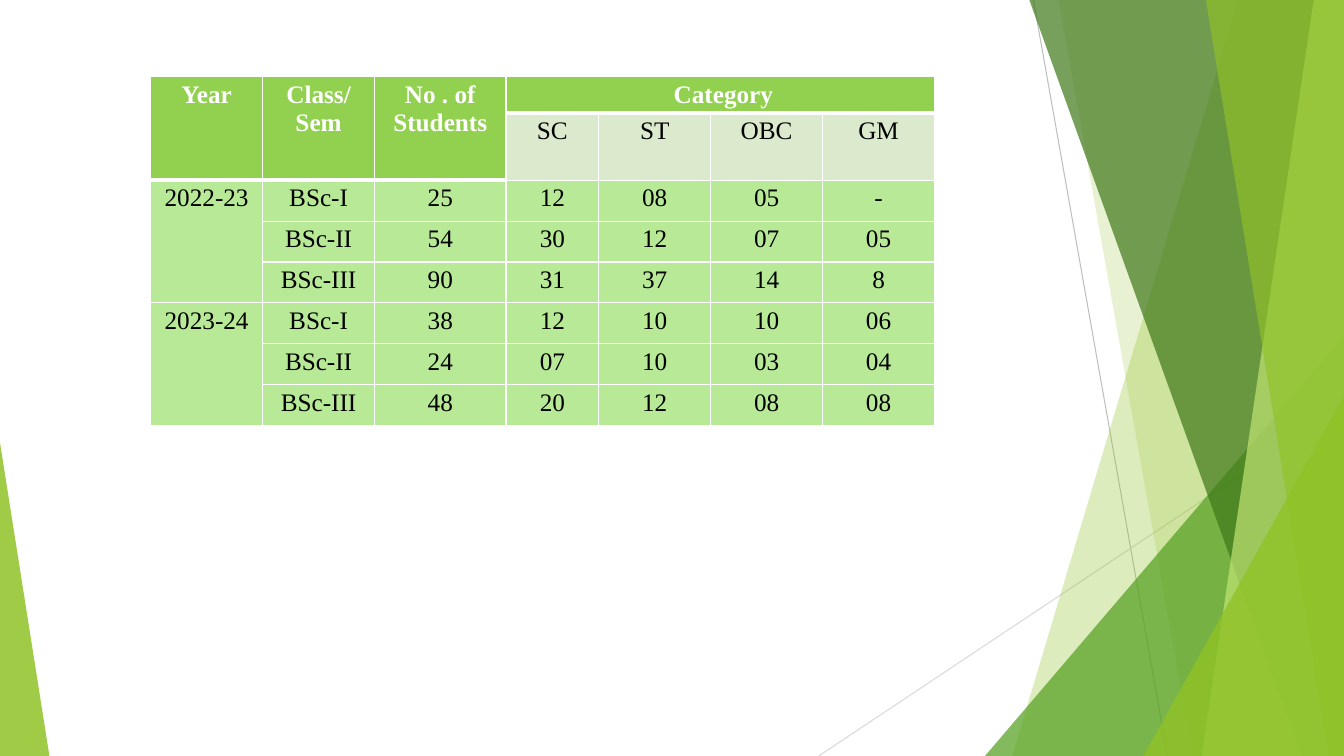
import pptx
import pptx.util
import pptx.dml.color
import pptx.enum.shapes
import pptx.enum.text
import pptx.oxml
import pptx.oxml.ns
from dataclasses import dataclass

ROWS = [
    ["Year", "Class/ Sem", "No . of Students", " Category", None, None, None],
    [None, None, None, "SC", "ST", "OBC", "GM"],
    ["2022-23", "BSc-I", "25", "12", "08", "05", "-"],
    [None, "BSc-II", "54", "30", "12", "07", "05"],
    [None, "BSc-III", "90", "31", "37", "14", "8"],
    ["2023-24", "BSc-I", "38", "12", "10", "10", "06"],
    [None, "BSc-II", "24", "07", "10", "03", "04"],
    [None, "BSc-III", "48", "20", "12", "08", "08"],
]
SPANS = [(0, 0, 1, 0), (0, 1, 1, 1), (0, 2, 1, 2), (0, 3, 0, 6),
         (2, 0, 4, 0), (5, 0, 7, 0)]
COLS = [8.33, 8.33, 9.78, 6.9, 8.33, 8.33, 8.33]
HIGHS = [4.83, 8.86] + [5.41] * 6
PLACE = (11.21, 10.16)


@dataclass
class Theme:
    font: str = "Times New Roman"
    size: int = 18
    white: str = "FFFFFF"
    ink: str = "000000"
    head: str = "92D050"
    sub: str = "DBE9CD"
    body: str = "B7E996"
    lime: str = "90C226"
    leaf: str = "54A021"
    moss: str = "3F7819"
    pale: str = "C0E474"
    thin: int = 1
    thick: int = 3
    hair: float = 0.75


LOOK = Theme()
LINES = [(76.89, 0, 86.87, 100, "BFBFBF"), (100, 53.73, 60.92, 100, "D9D9D9")]
SHARDS = [
    ("band", 92.12, 75.32, LOOK.lime, 30),
    ("band", 78.77, 88.75, LOOK.lime, 20),
    ("peak", 73.29, 100, 44.4, 1, LOOK.leaf, 72),
    ("band", 76.59, 96.85, LOOK.moss, 70),
    ("band", 97.75, 89.42, LOOK.pale, 70),
    ("band", 89.72, 98.87, LOOK.lime, 65),
    ("peak", 85.07, 100, 52.4, 1, LOOK.lime, 80),
    ("peak", 0, 3.68, 58.53, 0, LOOK.lime, 85),
]

deck = pptx.Presentation()
deck.slide_width = pptx.util.Inches(13.33)
deck.slide_height = pptx.util.Inches(7.5)
slide = deck.slides.add_slide(deck.slide_layouts[6])


def across(share):
    return round(deck.slide_width * share / 100)


def down(share):
    return round(deck.slide_height * share / 100)


def rgb(code):
    return pptx.dml.color.RGBColor.from_string(code)


def parse(xml):
    return pptx.oxml.parse_xml(xml.replace(" ", f" {pptx.oxml.ns.nsdecls('a')} ", 1))


def write(cell, text, color=LOOK.ink, bold=False):
    cell.text = text
    para = cell.text_frame.paragraphs[0]
    para.alignment = pptx.enum.text.PP_ALIGN.CENTER
    font = para.runs[0].font
    font.name, font.size = LOOK.font, pptx.util.Pt(LOOK.size)
    font.bold, font.color.rgb = bold, rgb(color)


def edge(cell, **sides):
    props = cell._tc.get_or_add_tcPr()
    for side, width in sides.items():
        props.append(parse(
            f'<a:ln{side} w="{pptx.util.Pt(width)}"><a:solidFill>'
            f'<a:srgbClr val="{LOOK.white}"/></a:solidFill></a:ln{side}>'))


def paint(shape, color, solid):
    shape.shadow.inherit = False
    shape.fill.solid()
    shape.fill.fore_color.rgb = rgb(color)
    shape.line.fill.background()
    tint = shape._element.spPr.find(".//" + pptx.oxml.ns.qn("a:srgbClr"))
    tint.append(parse(f'<a:alpha val="{solid * 1000}"/>'))


def band(top, base, color, solid):
    path = slide.shapes.build_freeform(across(top), 0)
    path.add_line_segments([(across(100), 0), (across(100), down(100)),
                            (across(base), down(100))])
    paint(path.convert_to_shape(), color, solid)


def peak(left, right, top, tip, color, solid):
    shape = slide.shapes.add_shape(
        pptx.enum.shapes.MSO_SHAPE.ISOSCELES_TRIANGLE, across(left), down(top),
        across(right - left), down(100 - top))
    shape.adjustments[0] = tip
    paint(shape, color, solid)


def draw_back():
    for x1, y1, x2, y2, color in LINES:
        line = slide.shapes.add_connector(
            pptx.enum.shapes.MSO_CONNECTOR.STRAIGHT,
            across(x1), down(y1), across(x2), down(y2))
        line.line.color.rgb = rgb(color)
        line.line.width = pptx.util.Pt(LOOK.hair)
        line._element.spPr.append(parse("<a:effectLst />"))
    for kind, *parts in SHARDS:
        {"band": band, "peak": peak}[kind](*parts)


def draw_table():
    table = slide.shapes.add_table(
        len(ROWS), len(COLS), across(PLACE[0]), down(PLACE[1]),
        across(sum(COLS)), down(sum(HIGHS))).table
    table.first_row = table.horz_banding = False
    for col, share in zip(table.columns, COLS):
        col.width = across(share)
    for row, share in zip(table.rows, HIGHS):
        row.height = down(share)
    for r, texts in enumerate(ROWS):
        for c, text in enumerate(texts):
            cell = table.cell(r, c)
            head = r == 0 or (r == 1 and c < 3)
            cell.margin_top = pptx.util.Inches(0.04)
            cell.margin_bottom = pptx.util.Inches(0.03)
            above = (r == 1 and c > 2) or (r == 2 and c < 3)
            edge(cell, L=LOOK.thin, R=LOOK.thin,
                 T=LOOK.thick if above else LOOK.thin,
                 B=LOOK.thick if head else LOOK.thin)
            cell.fill.solid()
            cell.fill.fore_color.rgb = rgb(
                LOOK.head if head else LOOK.sub if r == 1 else LOOK.body)
            if text:
                write(cell, text, color=LOOK.white if head else LOOK.ink, bold=head)
    for r1, c1, r2, c2 in SPANS:
        table.cell(r1, c1).merge(table.cell(r2, c2))


draw_back()
draw_table()
deck.save("out.pptx")
